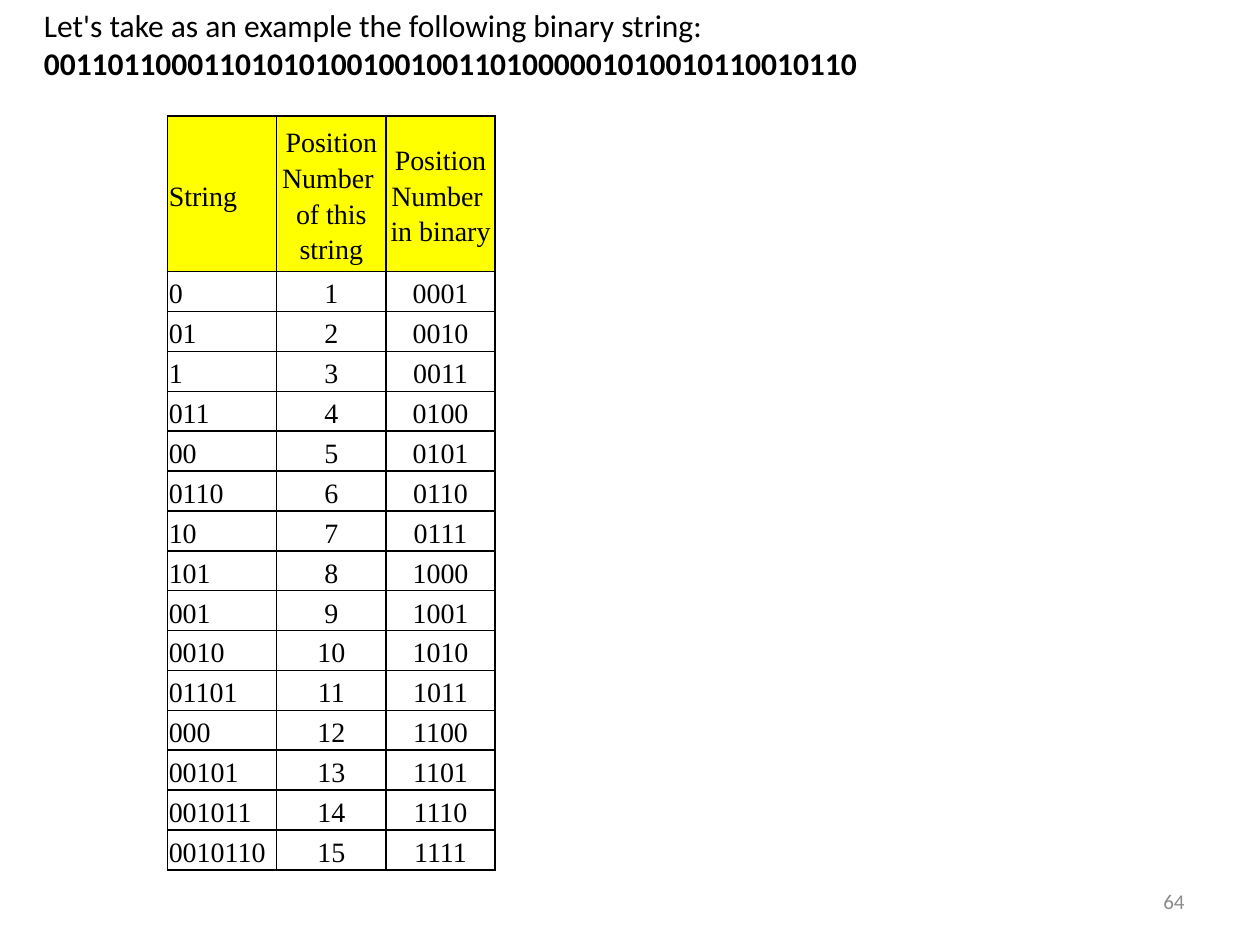
from lxml import etree
from pptx import Presentation
from pptx import util as u
from pptx.dml.color import RGBColor
from pptx.enum import text
from pptx.oxml import ns

WIDTH, HEIGHT = 10, 7.5
COLORS = {"ink": "000000", "header": "FFFF00", "page_number": "8C8C8C"}
BINARY = "001101100011010101001001001101000001010010110010110"
HEADINGS = ["String", "Position Number\u00a0\nof this string", "Position Number\u00a0\nin binary"]
PHRASES = ["0", "01", "1", "011", "00", "0110", "10", "101", "001", "0010",
           "01101", "000", "00101", "001011", "0010110"]


def add_run(paragraph, words, size, font, color, bold=False):
    run = paragraph.add_run()
    run.text = words
    run.font.size = u.Pt(size)
    run.font.name = font
    run.font.bold = bold
    run.font.color.rgb = RGBColor.from_string(COLORS[color])


def add_frame(slide, box):
    frame = slide.shapes.add_textbox(*map(u.Inches, box)).text_frame
    frame.word_wrap = True
    return frame


def add_intro(slide, box):
    intro = add_frame(slide, box).paragraphs[0]
    add_run(intro, "Let's take as an example the following binary string: ", 18, "Calibri", "ink")
    add_run(intro, BINARY, 18, "Calibri", "ink", True)


def add_page_number(slide, box, number):
    frame = add_frame(slide, box)
    frame.vertical_anchor = text.MSO_ANCHOR.MIDDLE
    paragraph = frame.paragraphs[0]
    paragraph.alignment = text.PP_ALIGN.RIGHT
    add_run(paragraph, number, 12, "Calibri", "page_number")


def add_borders(cell):
    props = cell._tc.get_or_add_tcPr()
    for place, side in enumerate(("a:lnL", "a:lnR", "a:lnT", "a:lnB")):
        line = etree.Element(ns.qn(side), w=str(u.Pt(1)))
        fill = etree.SubElement(line, ns.qn("a:solidFill"))
        etree.SubElement(fill, ns.qn("a:srgbClr"), val=COLORS["ink"])
        props.insert(place, line)


def fill_cell(cell, words, centred, header):
    cell.margin_left = cell.margin_right = cell.margin_top = u.Inches(0.01)
    cell.margin_bottom = 0
    cell.vertical_anchor = text.MSO_ANCHOR.MIDDLE
    if header:
        cell.fill.solid()
        cell.fill.fore_color.rgb = RGBColor.from_string(COLORS["header"])
    else:
        cell.fill.background()
    paragraph = cell.text_frame.paragraphs[0]
    paragraph.alignment = text.PP_ALIGN.CENTER if centred else text.PP_ALIGN.LEFT
    paragraph.line_spacing = 1.15
    for index, part in enumerate(words.split("\n")):
        if index:
            paragraph.add_line_break()
        add_run(paragraph, part, 16, "Times New Roman", "ink")
    add_borders(cell)


def add_dictionary(slide, box):
    entries = [[phrase, str(position), f"{position:04b}"]
               for position, phrase in enumerate(PHRASES, 1)]
    rows = [HEADINGS] + entries
    holder = slide.shapes.add_table(len(rows), len(HEADINGS), *map(u.Inches, box))
    dictionary = holder.table
    dictionary.first_row = dictionary.horz_banding = False
    for column in dictionary.columns:
        column.width = u.Inches(box[2] / len(HEADINGS))
    for r, row in enumerate(rows):
        dictionary.rows[r].height = u.Inches(0.23 if r else 0.67)
        for c, words in enumerate(row):
            fill_cell(dictionary.cell(r, c), words, c > 0, r == 0)
    holder.height = u.Inches(box[3])


deck = Presentation()
deck.slide_width, deck.slide_height = u.Inches(WIDTH), u.Inches(HEIGHT)
page = deck.slides.add_slide(deck.slide_layouts[6])
add_page_number(page, (7.17, 6.95, 2.33, 0.4), "64")
add_intro(page, (0.25, 0, 9.25, 1.01))
add_dictionary(page, (1.33, 0.92, 2.6, 5.99))
deck.save("out.pptx")
